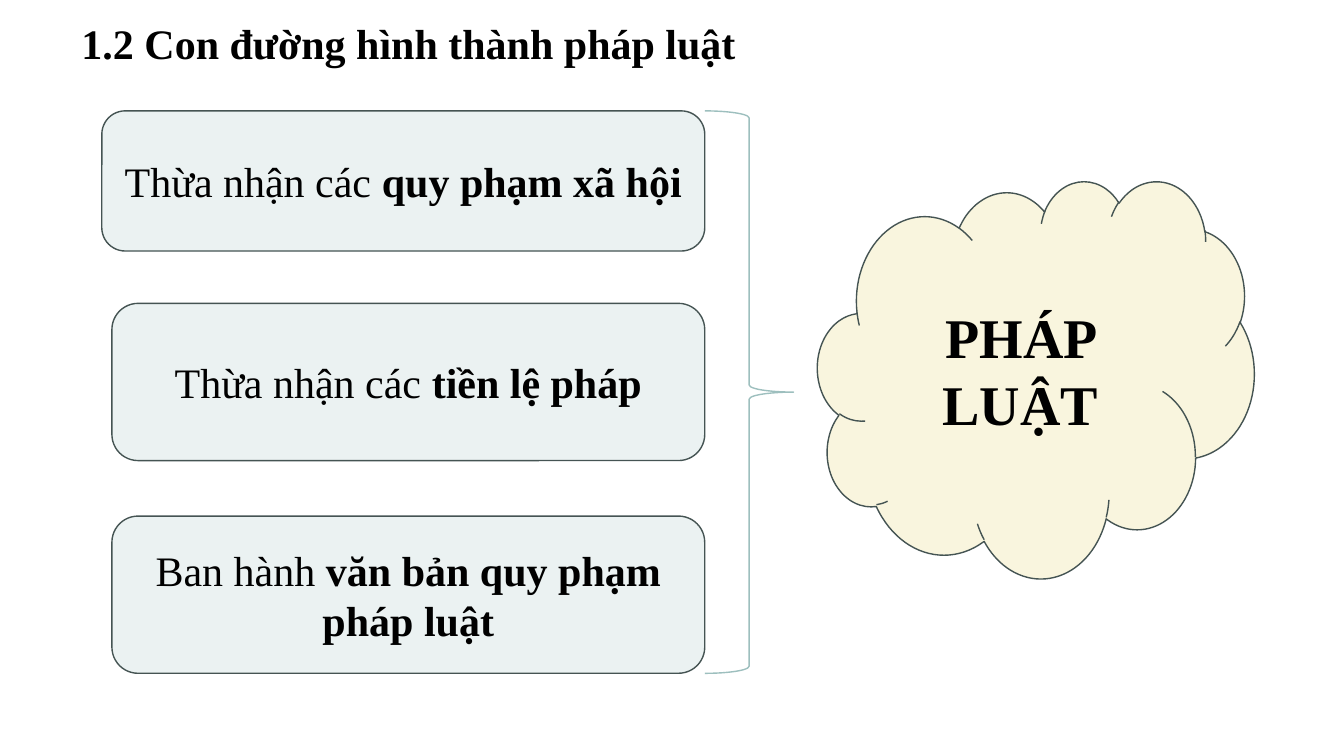
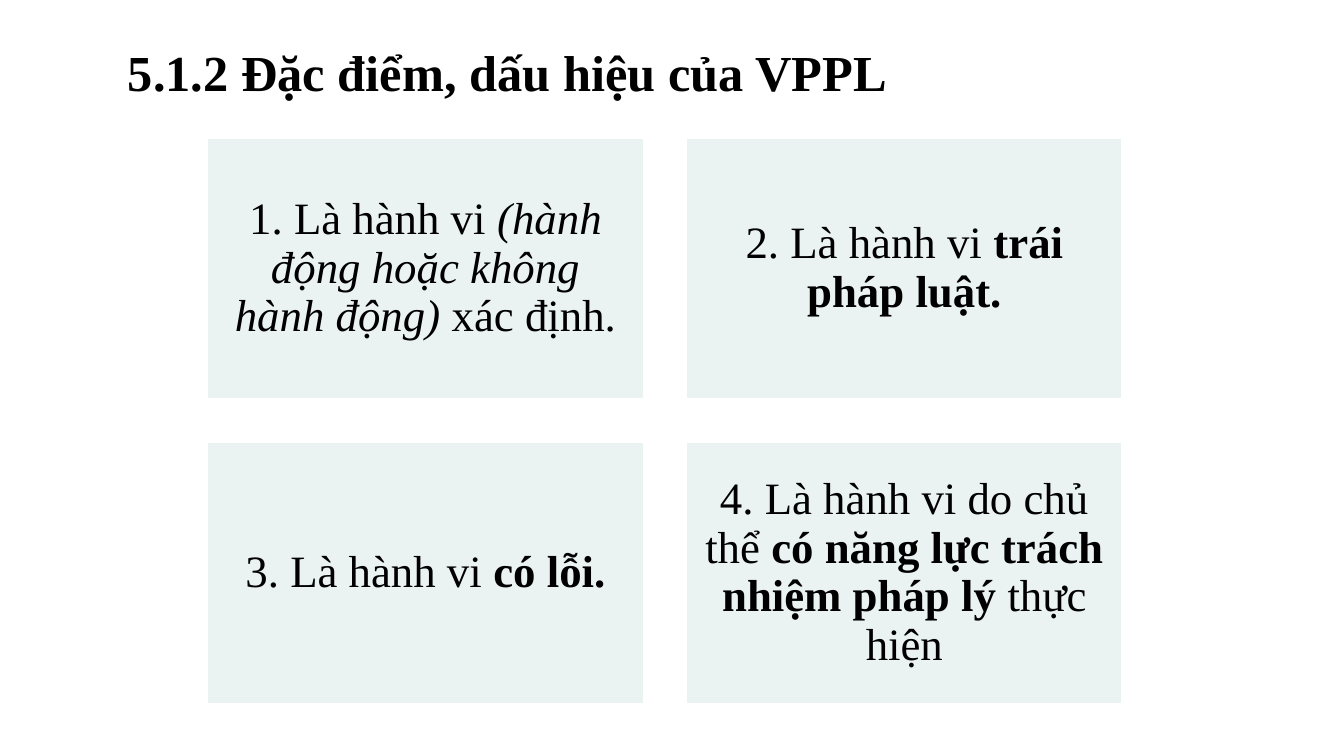
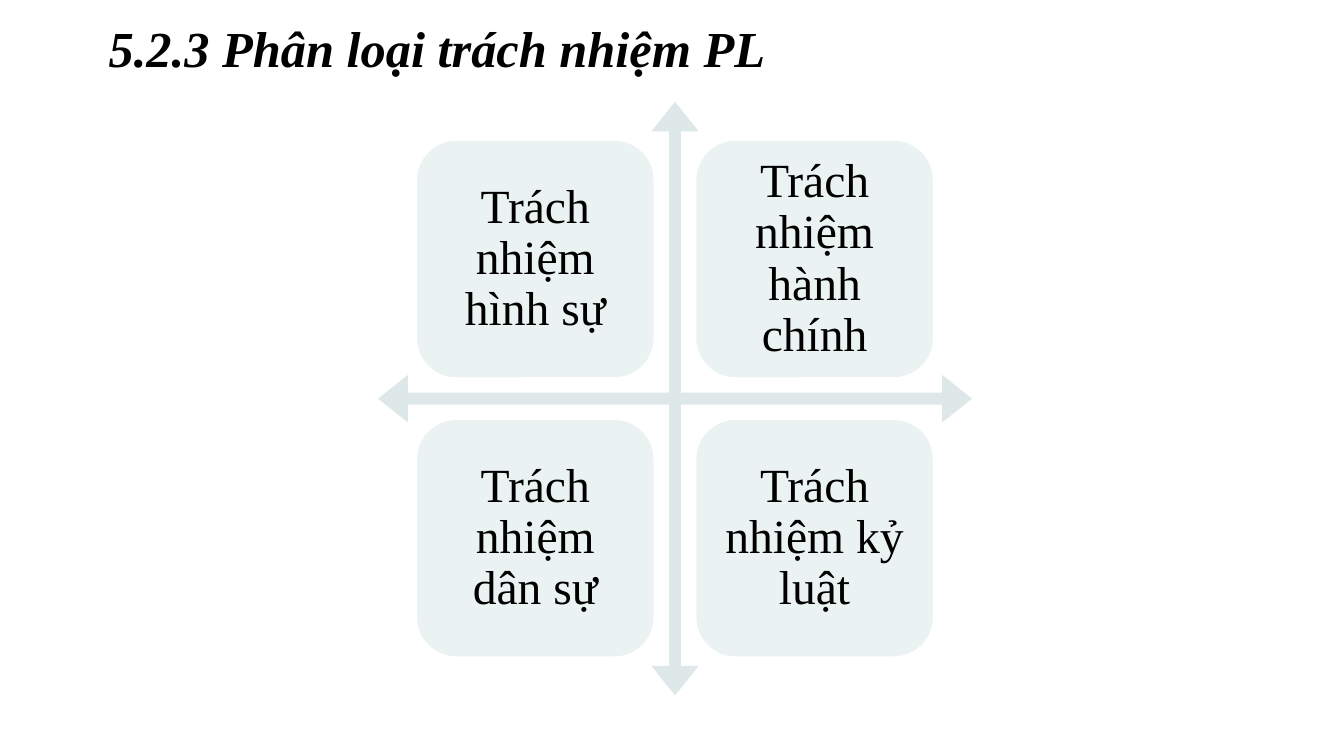
from pptx import Presentation
from pptx.dml.color import RGBColor
from pptx.enum.shapes import MSO_SHAPE
from pptx.enum.text import MSO_ANCHOR, PP_ALIGN
from pptx.util import Inches, Pt

RECT = MSO_SHAPE.RECTANGLE
ROUND = MSO_SHAPE.ROUNDED_RECTANGLE
CLOUD = MSO_SHAPE.CLOUD
BRACE = MSO_SHAPE.RIGHT_BRACE
ARROWS = MSO_SHAPE.QUAD_ARROW
MIDDLE = MSO_ANCHOR.MIDDLE
LEFT = PP_ALIGN.LEFT
CENTER = PP_ALIGN.CENTER

FONT = "Times New Roman"
COLORS = {
    "text": "000000",
    "white": "FFFFFF",
    "panel": "EBF2F2",
    "edge": "455453",
    "brace": "9DBFBE",
    "cloud": "F9F5DE",
    "arrow": "DFE8E8",
}


def color(name):
    return RGBColor.from_string(COLORS[name])


def write(shape, runs, size, align=CENTER, spacing=1.0, inset=None):
    """Fill a shape with one paragraph of (text, style) runs; style holds b and i."""
    frame = shape.text_frame
    frame.word_wrap = True
    frame.vertical_anchor = MIDDLE
    if inset is not None:
        frame.margin_left = frame.margin_right = Inches(inset)
        frame.margin_top = frame.margin_bottom = Inches(inset)
    para = frame.paragraphs[0]
    para.alignment = align
    para.line_spacing = spacing
    for text, style in runs:
        run = para.add_run()
        run.text = text
        font = run.font
        font.name = FONT
        font.size = Pt(size)
        font.bold = "b" in style
        font.italic = "i" in style
        font.color.rgb = color("text")


def add_title(slide, area, text, size, style="b"):
    box = slide.shapes.add_textbox(*map(Inches, area))
    write(box, [(text, style)], size, LEFT, 0.9)


def add_shape(slide, kind, area, fill=None, line=None, adjust=()):
    shape = slide.shapes.add_shape(kind, *map(Inches, area))
    shape.shadow.inherit = False
    if fill:
        shape.fill.solid()
        shape.fill.fore_color.rgb = color(fill)
    else:
        shape.fill.background()
    if line:
        shape.line.color.rgb = color(line)
        shape.line.width = Pt(1)
    else:
        shape.line.fill.background()
    for index, value in enumerate(adjust):
        shape.adjustments[index] = value
    return shape


def add_grid(slide, kind, start, size, step, items, points, inset):
    """Lay panels out in two columns, row by row."""
    for index, runs in enumerate(items):
        row, col = divmod(index, 2)
        area = (start[0] + col * step[0], start[1] + row * step[1], *size)
        panel = add_shape(slide, kind, area, "panel", "white")
        write(panel, runs, points, spacing=0.9, inset=inset)


def build_paths(slide):
    add_title(slide, (0.71, 0.17, 12.05, 0.58),
              "1.2 Con đường hình thành pháp luật", 30)
    right = 6.99
    paths = [
        (1.01, 1.1, 1.39, "Thừa nhận các ", "quy phạm xã hội"),
        (1.11, 3.01, 1.56, "Thừa nhận các ", "tiền lệ pháp"),
        (1.11, 5.12, 1.56, "Ban hành ", "văn bản quy phạm pháp luật"),
    ]
    for left, top, height, lead, term in paths:
        area = (left, top, right - left, height)
        panel = add_shape(slide, ROUND, area, "panel", "edge")
        write(panel, [(lead, ""), (term, "b")], 30)
    add_shape(slide, BRACE, (right, 1.1, 0.88, 5.58),
              line="brace", adjust=(0.08, 0.5))
    cloud = add_shape(slide, CLOUD, (8.11, 1.79, 4.33, 3.94), "cloud", "edge")
    write(cloud, [("PHÁP LUẬT", "b")], 40)


def build_signs(slide):
    add_title(slide, (1.17, 0.4, 11, 0.7),
              "5.1.2 Đặc điểm, dấu hiệu của VPPL", 36)
    signs = [
        [("1. Là hành vi ", ""), ("(hành động hoặc không hành động)", "i"),
         (" xác định.", "")],
        [("2. Là hành vi ", ""), ("trái pháp luật.", "b")],
        [("3. Là hành vi ", ""), ("có lỗi.", "b")],
        [("4. Là hành vi do chủ thể ", ""),
         ("có năng lực trách nhiệm pháp lý ", "b"), ("thực hiện", "")],
    ]
    add_grid(slide, RECT, (2.06, 1.37), (4.32, 2.59), (4.75, 3.02),
             signs, 32, 0.13)


def build_types(slide):
    add_title(slide, (0.98, 0.16, 11, 0.7),
              "5.2.3 Phân loại trách nhiệm PL", 36, "bi")
    add_shape(slide, ARROWS, (3.75, 1.01, 5.89, 5.89), "arrow",
              adjust=(0.02, 0.04, 0.05))
    types = [[("Trách nhiệm " + name, "")]
             for name in ("hình sự", "hành chính", "dân sự", "kỷ luật")]
    add_grid(slide, ROUND, (4.13, 1.39), (2.36, 2.36), (2.77, 2.77),
             types, 34, 0.14)


def main():
    deck = Presentation()
    deck.slide_width = Inches(13.33)
    deck.slide_height = Inches(7.5)
    blank = deck.slide_layouts[6]
    for build in (build_paths, build_signs, build_types):
        build(deck.slides.add_slide(blank))
    deck.save("out.pptx")


if __name__ == "__main__":
    main()
